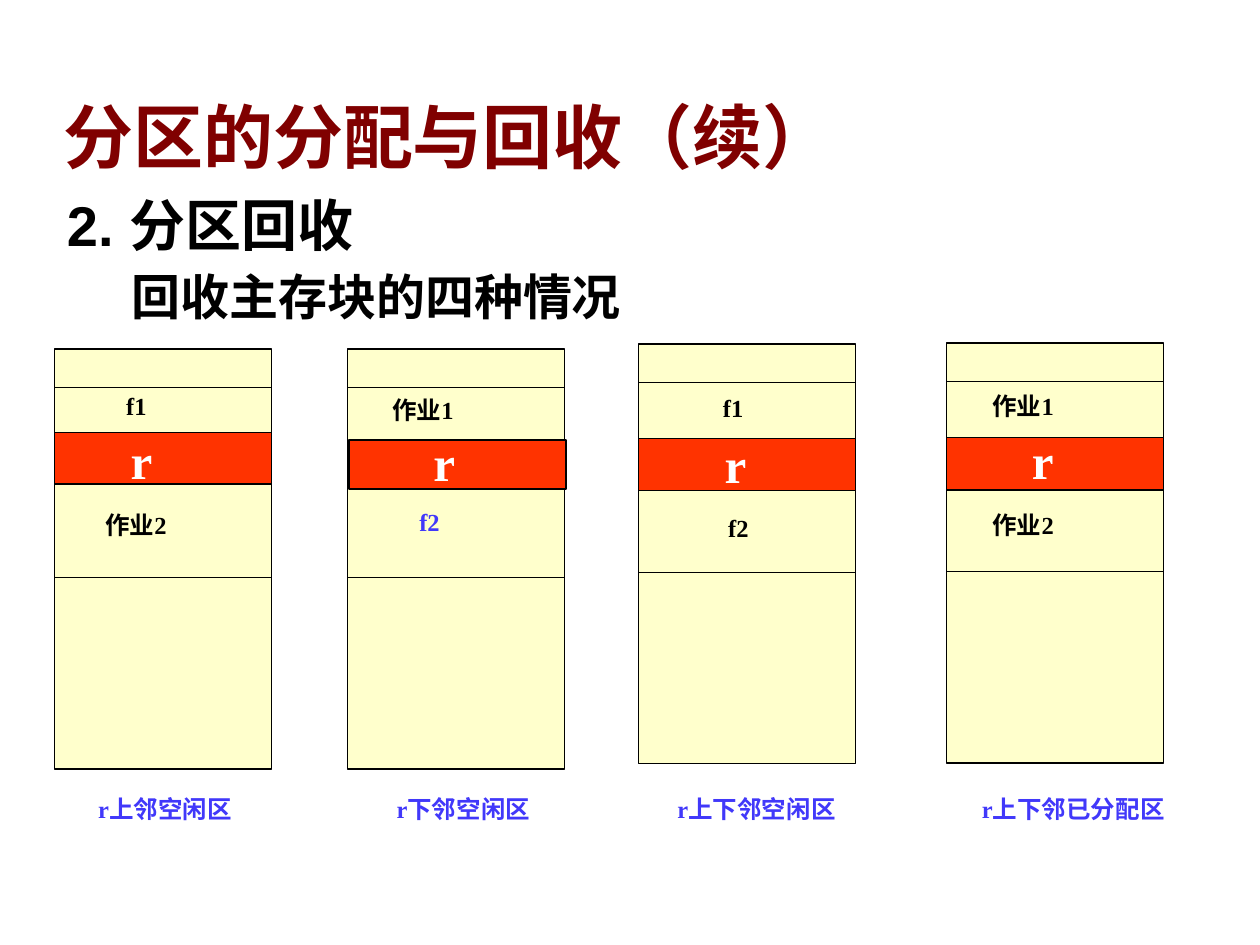
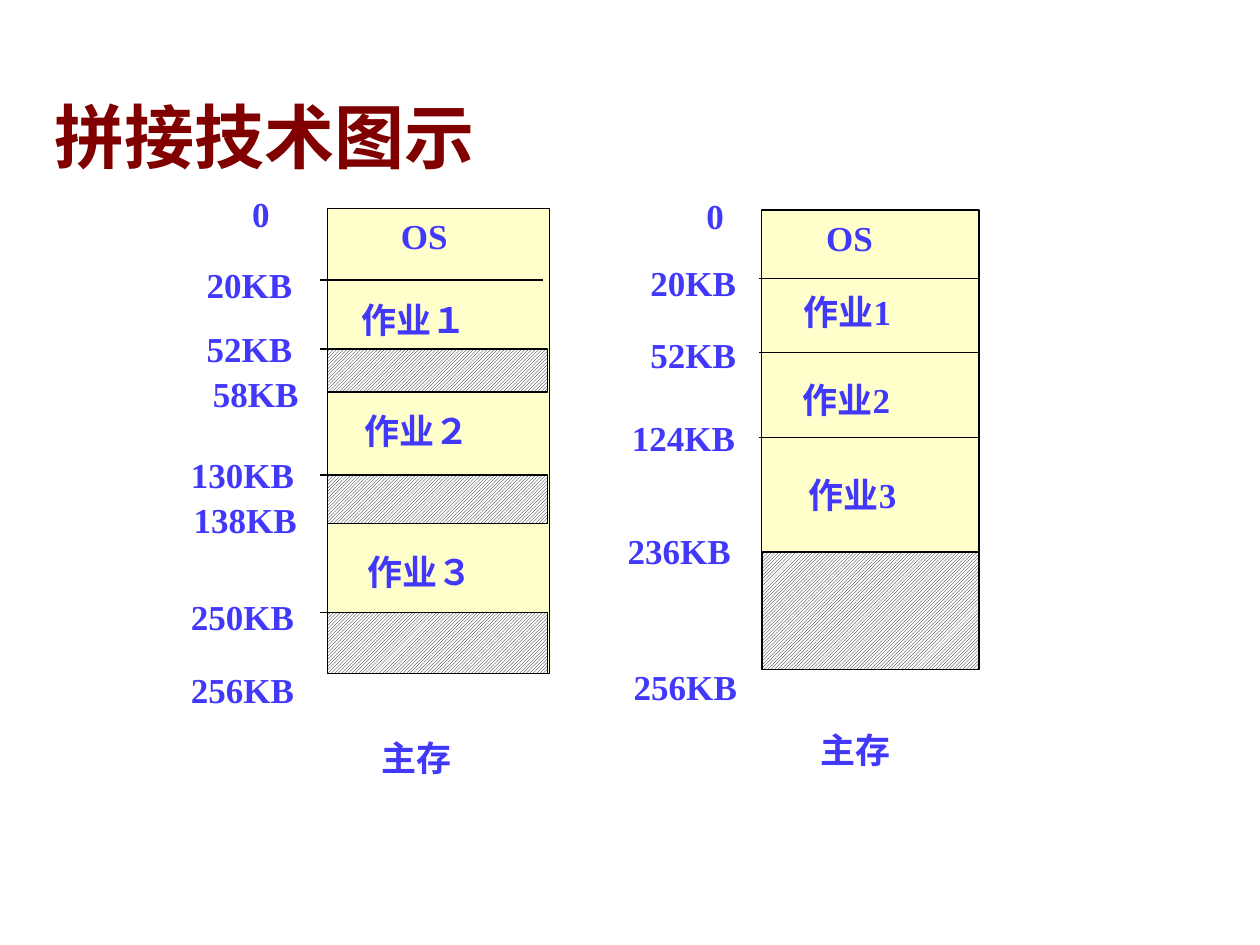
from pptx import Presentation
from pptx.dml.color import RGBColor as RGB
from pptx.enum.dml import MSO_PATTERN
from pptx.enum.shapes import MSO_CONNECTOR, MSO_SHAPE
from pptx.enum.text import MSO_ANCHOR, MSO_AUTO_SIZE, PP_ALIGN
from pptx.oxml.ns import qn
from pptx.util import Pt

BLACK = RGB(0x00, 0x00, 0x00)
WHITE = RGB(0xFF, 0xFF, 0xFF)
MAROON = RGB(0x80, 0x00, 0x00)
CREAM = RGB(0xFF, 0xFF, 0xCC)
RED = RGB(0xFF, 0x33, 0x00)
BLUE = RGB(0x41, 0x38, 0xFA)


def write(para, text, size, color, font):
    run = para.add_run()
    run.text = text
    run.font.name = font
    run.font.size = Pt(size)
    run.font.bold = True
    run.font.color.rgb = color


def block(slide, x, y, w, h, fill=None):
    """Draw an outlined rectangle, hatched when no fill is given."""
    rect = slide.shapes.add_shape(MSO_SHAPE.RECTANGLE, Pt(x), Pt(y), Pt(w), Pt(h))
    rect.shadow.inherit = False
    if fill:
        rect.fill.solid()
        rect.fill.fore_color.rgb = fill
    else:
        rect.fill.patterned()
        rect.fill.pattern = MSO_PATTERN.LIGHT_UPWARD_DIAGONAL
        rect.fill.fore_color.rgb = BLACK
        rect.fill.back_color.rgb = WHITE
    rect.line.color.rgb = BLACK
    rect.line.width = Pt(0.75)


deck = Presentation()
deck.slide_width, deck.slide_height = Pt(720), Pt(540)

# Titles
slides = []
for layout, left, name in [(1, 29, "分区的分配与回收（续）"), (5, 24, "拼接技术图示")]:
    slide = deck.slides.add_slide(deck.slide_layouts[layout])
    title = slide.shapes.title
    title.left, title.top, title.width, title.height = Pt(left), Pt(51), Pt(661), Pt(55)
    frame = title.text_frame
    frame.auto_size = MSO_AUTO_SIZE.NONE
    frame.vertical_anchor = MSO_ANCHOR.BOTTOM
    para = frame.paragraphs[0]
    para.alignment = PP_ALIGN.LEFT
    para.line_spacing = 0.9
    write(para, name, 40, MAROON, "Arial")
    slides.append(slide)
free, merge = slides

# Section heading of the first slide
body = free.placeholders[1]
body.left, body.top, body.width, body.height = Pt(31), Pt(109.5), Pt(660), Pt(86)
frame = body.text_frame
frame.auto_size = MSO_AUTO_SIZE.NONE
heads = [("2. 分区回收", 32, 45, -45, 0), ("回收主存块的四种情况", 28, 37, 0, 8.5)]
for i, (text, size, margin, indent, gap) in enumerate(heads):
    para = frame.add_paragraph() if i else frame.paragraphs[0]
    props = para._p.get_or_add_pPr()
    props.set("marL", str(Pt(margin)))
    props.set("indent", str(Pt(indent)))
    props.append(props.makeelement(qn("a:buNone"), {}))
    para.line_spacing = 0.9
    para.space_before = Pt(gap)
    write(para, text, size, BLACK, "Arial")

# Each map: slide, frame, rule ends, rule heights, bars, labels
maps = []

# Four cases of a returned block r: left, top, bar, then labels with places
cases = [
    (31, 199.5, (31, 247, 29.5), ("f1", 65, 220, BLACK),
     ("作业2", 53, 288, BLACK), (67.5, 242.5), ("r上邻空闲区", 49)),
    (198.5, 199.5, (199.5, 251.5, 28), ("作业1", 217, 222, BLACK),
     ("f2", 232.5, 286, BLUE), (240.5, 243.5), ("r下邻空闲区", 219.5)),
    (365, 196.5, (365, 250.5, 30), ("f1", 406, 221, BLACK),
     ("f2", 409, 289.5, BLACK), (407, 245), ("r上下邻空闲区", 380)),
    (541, 196, (541, 250, 30), ("作业1", 560, 220, BLACK),
     ("作业2", 560, 288, BLACK), (582.5, 242.5), ("r上下邻已分配区", 554)),
]
for left, top, (bar, y, high), above, below, spot, (note, x) in cases:
    labels = [(text, tx, ty, 14, color) for text, tx, ty, color in (above, below)]
    labels += [("r", *spot, 28, WHITE), (note, x, 450, 14, BLUE)]
    maps.append((free, (left, top, 124, 240), (left, left + 124),
                 (top + 22, top + 130.5), [(bar, y, 124, high, RED)], labels))

# Memory before and after merging
before = [
    ("0", 137, 106.5), ("20KB", 111, 147), ("52KB", 111, 183.5),
    ("58KB", 114.5, 209.5), ("130KB", 102, 255.5), ("138KB", 103.5, 281.5),
    ("250KB", 102, 337), ("256KB", 102, 378.5), ("OS", 222, 119),
    ("作业１", 199.5, 167), ("作业２", 201, 230.5), ("作业３", 203, 311),
    ("主存", 211, 417.5),
]
after = [
    ("0", 396.5, 107.5), ("20KB", 364.5, 146), ("52KB", 364.5, 187),
    ("124KB", 354, 234.5), ("236KB", 351.5, 299), ("256KB", 355, 376.5),
    ("OS", 465, 120), ("作业1", 452, 162.5), ("作业2", 451.5, 212.5),
    ("作业3", 455, 267), ("主存", 462, 412.5),
]
holes = [(187, y, 126, h) for y, h in [(199.5, 24.5), (271.5, 27.5), (350, 35)]]
for area, ends, rules, gaps, marks in [
    ((187, 119, 127, 266), (183, 310.5), (160, 199.5, 271.5, 350), holes, before),
    ((435, 120, 124.5, 262), (434, 559.5), (159, 201.5, 250),
     [(435.5, 315.5, 124, 67)], after),
]:
    maps.append((merge, area, ends, rules, gaps, [(*mark, 20, BLUE) for mark in marks]))

# Draw all maps
for slide, area, (start, end), rules, bars, labels in maps:
    block(slide, *area, CREAM)
    for y in rules:
        rule = slide.shapes.add_connector(
            MSO_CONNECTOR.STRAIGHT, Pt(start), Pt(y), Pt(end), Pt(y))
        rule.line.color.rgb = BLACK
        rule.line.width = Pt(0.75)
        props = rule._element.spPr
        props.append(props.makeelement(qn("a:effectLst"), {}))
    for bar in bars:
        block(slide, *bar)
    for text, x, y, size, color in labels:
        label = slide.shapes.add_textbox(Pt(x), Pt(y), Pt(140), Pt(size + 16))
        label.text_frame.word_wrap = True
        write(label.text_frame.paragraphs[0], text, size, color, "Times New Roman")

deck.save("out.pptx")
